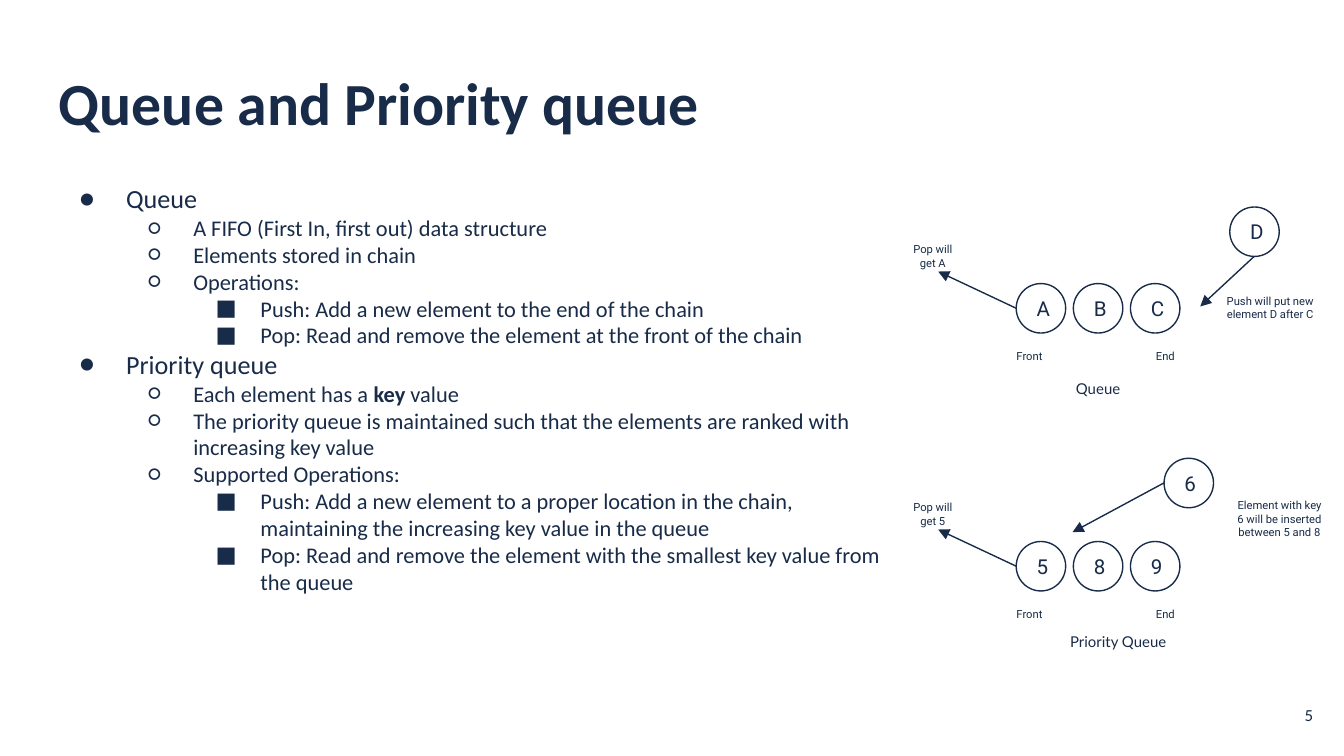
import pptx
import pptx.util
import pptx.dml.color
import pptx.enum.shapes
import pptx.enum.text
import pptx.oxml.ns
from dataclasses import dataclass
from lxml import etree

Pt = pptx.util.Pt
ALIGN = pptx.enum.text.PP_ALIGN
ANCHOR = pptx.enum.text.MSO_ANCHOR
SHAPE = pptx.enum.shapes.MSO_SHAPE
qn = pptx.oxml.ns.qn


@dataclass(frozen=True)
class Theme:
    ink = pptx.dml.color.RGBColor(0x18, 0x2B, 0x48)
    text_font, node_font, caption_font = "Calibri", "Roboto", "Lato"
    title, heading, body, node = 32, 14, 12, 11
    number, caption, note = 9, 8, 6
    line = 0.75
    inset = 7.2


T = Theme()

# Level, then text; a tuple of runs has its second run in bold
OUTLINE = [
    (0, "Queue"),
    (1, "A FIFO (First In, first out) data structure"),
    (1, "Elements stored in chain"),
    (1, "Operations:"),
    (2, "Push: Add a new element to the end of the chain"),
    (2, "Pop: Read and remove the element at the front of the chain"),
    (0, "Priority queue"),
    (1, ("Each element has a ", "key", " value")),
    (1, "The priority queue is maintained such that the elements are ranked "
        "with increasing key value"),
    (1, "Supported Operations:"),
    (2, "Push: Add a new element to a proper location in the chain, "
        "maintaining the increasing key value in the queue"),
    (2, "Pop: Read and remove the element with the smallest key value from "
        "the queue"),
]
# Marker and hanging indent of each level
BULLETS = [("●", 25.2), ("○", 24), ("■", 24)]

# Positions are relative to the diagram's top left corner
DIAGRAMS = [
    dict(box=(481, 121.7), chain="ABC", new="D", new_at=(177.8, -10.8),
         push=((191, 15.6), (162, 42.5)), pop="Pop will get A",
         note="Push will put new element D after C", note_at=(168.5, 25.2),
         caption="Queue", caption_at=(45.4, 77)),
    dict(box=(481, 259.9), chain="589", new="6", new_at=(142.6, -14.4),
         push=((142.6, -1.2), (93.6, 25.2)), pop="Pop will get 5",
         note="Element with key 6 will be inserted between 5 and 8",
         note_at=(173.5, 0), caption="Priority Queue", caption_at=(56.2, 74.2)),
]


def set_all(obj, values):
    for name, value in values.items():
        setattr(obj, name, value)


def set_frame(sp, anchor):
    tf = sp.text_frame
    set_all(tf, dict(word_wrap=True, vertical_anchor=anchor,
                     margin_left=Pt(T.inset), margin_right=Pt(T.inset),
                     margin_top=Pt(T.inset), margin_bottom=Pt(T.inset)))
    return tf


def add_run(p, text, size, font, bold=False):
    r = p.add_run()
    r.text = text
    set_all(r.font, dict(size=Pt(size), name=font, bold=bold))
    r.font.color.rgb = T.ink


def add_text(s, box, text, size, font=T.node_font, align=ALIGN.CENTER,
             anchor=ANCHOR.MIDDLE, bold=False):
    tf = set_frame(s.shapes.add_textbox(*map(Pt, box)), anchor)
    p = tf.paragraphs[0]
    p.alignment = align
    add_run(p, text, size, font, bold)
    return p


def add_node(s, x, y, size, text):
    sp = s.shapes.add_shape(SHAPE.OVAL, Pt(x), Pt(y), Pt(size), Pt(size))
    sp.shadow.inherit = False
    sp.fill.background()
    sp.line.color.rgb = T.ink
    sp.line.width = Pt(T.line)
    p = set_frame(sp, ANCHOR.MIDDLE).paragraphs[0]
    p.alignment = ALIGN.CENTER
    add_run(p, text, T.node, T.node_font)


def add_arrow(s, x, y, start, end):
    points = (x + start[0], y + start[1], x + end[0], y + end[1])
    cn = s.shapes.add_connector(
        pptx.enum.shapes.MSO_CONNECTOR.STRAIGHT, *map(Pt, points))
    cn.line.color.rgb = T.ink
    cn.line.width = Pt(T.line)
    etree.SubElement(cn.line._get_or_add_ln(), qn("a:tailEnd"), type="triangle")
    etree.SubElement(cn._element.spPr, qn("a:effectLst"))


def add_title(s, box):
    p = add_text(s, box, "Queue and Priority queue", T.title, T.text_font,
                 ALIGN.LEFT, ANCHOR.TOP, bold=True)
    p.line_spacing = 0.8


def add_outline(s, box):
    tf = set_frame(s.shapes.add_textbox(*map(Pt, box)), ANCHOR.TOP)
    for i, (level, text) in enumerate(OUTLINE):
        p = tf.add_paragraph() if i else tf.paragraphs[0]
        p.level = level
        marker, hang = BULLETS[level]
        pPr = p._p.get_or_add_pPr()
        pPr.set("marL", str(Pt(36 * (level + 1))))
        pPr.set("indent", str(-Pt(hang)))
        etree.SubElement(pPr, qn("a:buFont"), typeface=T.text_font)
        etree.SubElement(pPr, qn("a:buChar"), char=marker)
        runs = (text,) if isinstance(text, str) else text
        for j, part in enumerate(runs):
            add_run(p, part, T.body if level else T.heading, T.text_font,
                    bold=j == 1)


def add_diagram(s, box, chain, new, new_at, push, pop, note, note_at,
                caption, caption_at):
    x, y = box
    size, pitch, chain_x, chain_y = 26.5, 30.6, 63.4, 30.2

    # Chain of elements with its end labels
    for i, key in enumerate(chain):
        add_node(s, x + chain_x + i * pitch, y + chain_y, size, key)
    for label, dx in (("Front", 51.8), ("End", 124.6)):
        add_text(s, (x + dx, y + 61.2, 37.4, 15.1), label, T.note)

    # Pop from the front
    add_arrow(s, x, y, (chain_x, chain_y + size / 2), (21.6, 23.8))
    add_text(s, (x, y, 37.4, 31), pop, T.note)

    # Push of the new element
    add_node(s, x + new_at[0], y + new_at[1], size, new)
    add_arrow(s, x, y, *push)
    add_text(s, (x + note_at[0], y + note_at[1], 61.9, 36), note, T.note)

    # Caption
    add_text(s, (x + caption_at[0], y + caption_at[1], 123.8, 26.6), caption,
             T.caption, T.caption_font, anchor=ANCHOR.TOP)


def main():
    prs = pptx.Presentation()
    prs.slide_width, prs.slide_height = Pt(720), Pt(405)
    s = prs.slides.add_slide(prs.slide_layouts[6])
    add_title(s, (24.5, 35.3, 671, 45.4))
    add_outline(s, (24.5, 90.7, 455.8, 269.3))
    for diagram in DIAGRAMS:
        add_diagram(s, **diagram)
    # Slide number
    add_text(s, (667.4, 367.2, 43.2, 31), "5", T.number, T.text_font,
             ALIGN.RIGHT)
    prs.save("out.pptx")


if __name__ == "__main__":
    main()
